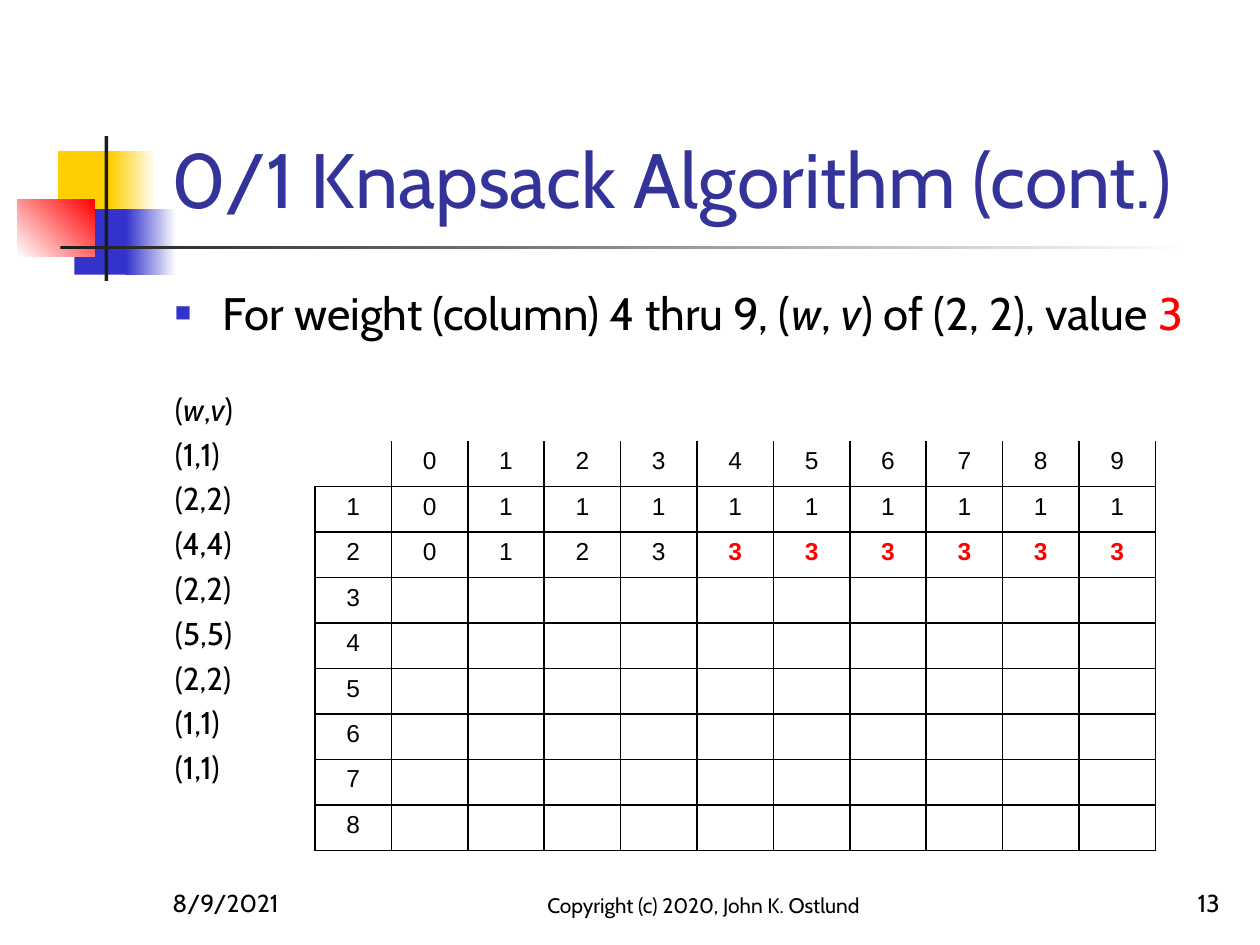
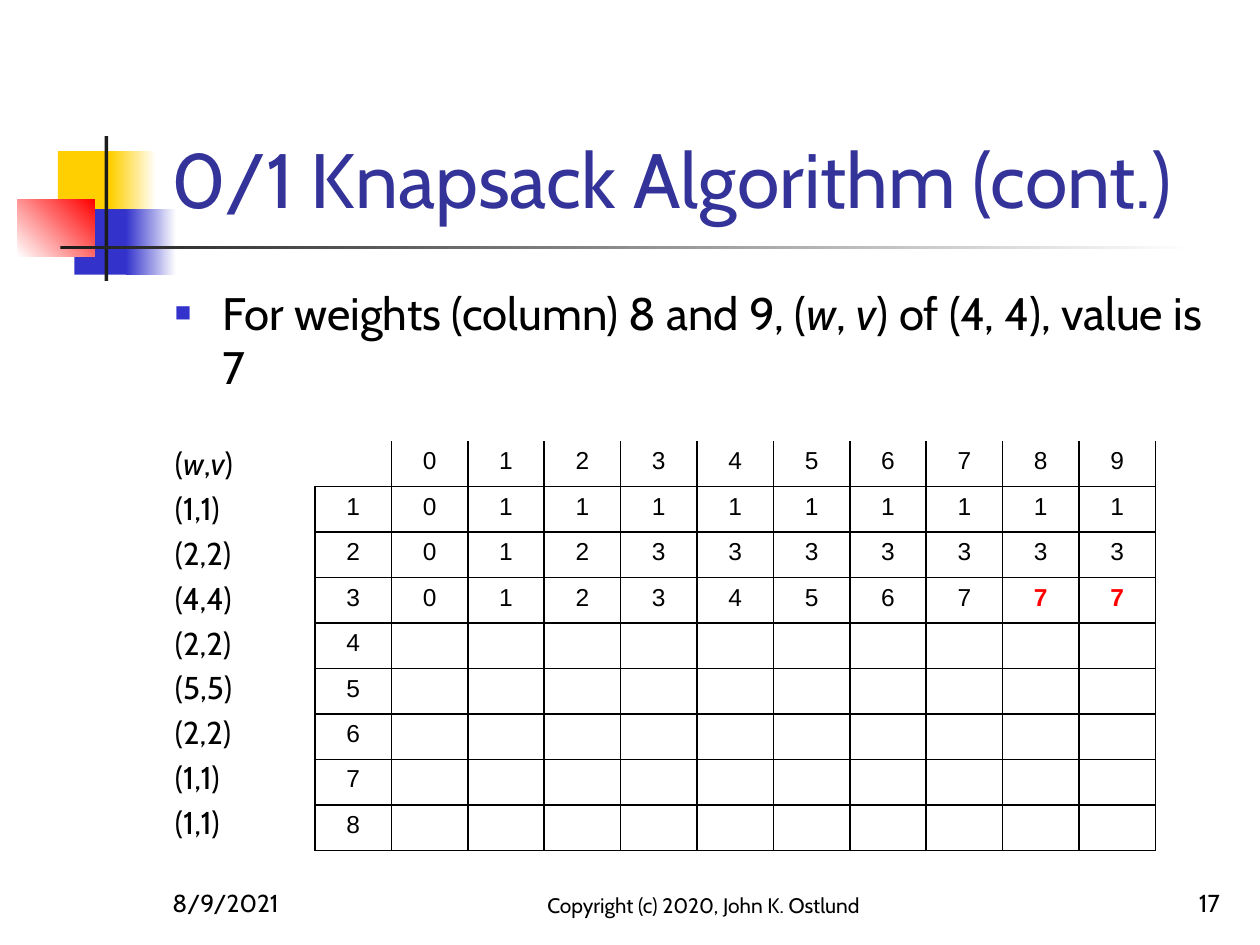
"""Build two slides that trace the 0/1 knapsack table row by row."""
from dataclasses import dataclass
from typing import NamedTuple

import lxml.etree
import pptx
import pptx.dml.color
import pptx.enum.shapes
import pptx.enum.text
import pptx.oxml.ns
import pptx.util

PX = 9144
TEXT_FONT, TABLE_FONT = "Cabin", "Arial"
BLACK, WHITE, RED = "000000", "FFFFFF", "FF0000"
YELLOW, BLUE, CHARCOAL, TITLE_BLUE = "FFCF01", "3333CC", "1C1C1C", "333399"
BULLET_INDENT = 38
COLUMN_COUNT, ROW_COUNT = 11, 9
ALIGN = pptx.enum.text.PP_ALIGN
ANCHOR = pptx.enum.text.MSO_ANCHOR


class Box(NamedTuple):
    left: int
    top: int
    width: int
    height: int


class Run(NamedTuple):
    text: str
    italic: bool = False
    color: str = BLACK


class Band(NamedTuple):
    box: Box
    start: str
    end: str
    angle: int = 0


class Label(NamedTuple):
    box: Box
    text: str
    size: int
    color: str = BLACK
    align: ALIGN = ALIGN.LEFT


@dataclass(frozen=True)
class KnapsackStep:
    number: int
    statement: tuple[Run, ...]
    rows: tuple[str, ...]
    first_highlight: int


BANDS = (
    Band(Box(46, 120, 48, 52), YELLOW, YELLOW),
    Band(Box(88, 120, 36, 52), YELLOW, WHITE),
    Band(Box(59, 166, 46, 52), BLUE, BLUE),
    Band(Box(100, 166, 40, 52), BLUE, WHITE),
    Band(Box(14, 158, 61, 46), WHITE, RED, 45),
    Band(Box(83, 108, 3, 115), CHARCOAL, CHARCOAL),
    Band(Box(48, 195, 900, 3), CHARCOAL, WHITE),
)
LABELS = (
    Label(Box(126, 23, 852, 160), "0/1 Knapsack Algorithm (cont.)", 44, TITLE_BLUE),
    Label(Box(127, 683, 208, 50), "8/9/2021", 14),
    Label(Box(400, 683, 317, 50), "Copyright (c) 2020, John K. Ostlund", 12, align=ALIGN.CENTER),
)
NUMBER_BOX = Box(770, 683, 208, 50)
BODY_BOX = Box(129, 221, 850, 450)
TABLE_BOX = Box(250, 350, 667, 325)
W, V = Run("w", True), Run("v", True)
PAIR_HEADING = (Run("("), W, Run(","), V, Run(")"))
PAIRS = ("(1,1)", "(2,2)", "(4,4)", "(2,2)", "(5,5)", "(2,2)", "(1,1)", "(1,1)")
ITEM_LINES = (PAIR_HEADING, *((Run(pair),) for pair in PAIRS))
STEPS = (
    KnapsackStep(
        13,
        (Run("For weight (column) 4 thru 9, ("), W, Run(", "), V,
         Run(") of (2, 2), value "), Run("3", color=RED)),
        ("0111111111", "0123333333"),
        4,
    ),
    KnapsackStep(
        17,
        (Run("For weights (column) 8 and 9, ("), W, Run(", "), V,
         Run(") of (4, 4), value is 7")),
        ("0111111111", "0123333333", "0123456777"),
        8,
    ),
)


def rgb(color: str) -> pptx.dml.color.RGBColor:
    """Turn a hex string into a colour."""
    return pptx.dml.color.RGBColor.from_string(color)


def emu(box: Box) -> list[int]:
    """Scale a box from px to EMU."""
    return [length * PX for length in box]


def add_element(parent, tag: str, **attributes: str):
    """Append a DrawingML element to its parent."""
    return lxml.etree.SubElement(parent, pptx.oxml.ns.qn(f"a:{tag}"), attributes)


def add_run(paragraph, run: Run, size: int, font: str = TEXT_FONT, bold: bool = False) -> None:
    """Append one formatted run."""
    text_run = paragraph.add_run()
    text_run.text = run.text
    text_run.font.name = font
    text_run.font.size = pptx.util.Pt(size)
    text_run.font.bold = bold
    text_run.font.italic = run.italic
    text_run.font.color.rgb = rgb(run.color)


def add_text_frame(slide, box: Box, anchor: ANCHOR):
    """Add a wrapping text box and return its frame."""
    frame = slide.shapes.add_textbox(*emu(box)).text_frame
    frame.word_wrap = True
    frame.vertical_anchor = anchor
    return frame


def draw_band(slide, band: Band) -> None:
    """Draw a plain or fading rectangle."""
    shape = slide.shapes.add_shape(pptx.enum.shapes.MSO_SHAPE.RECTANGLE, *emu(band.box))
    shape.shadow.inherit = False
    shape.line.fill.background()
    if band.start == band.end:
        shape.fill.solid()
        shape.fill.fore_color.rgb = rgb(band.start)
        return
    shape.fill.gradient()
    shape.fill.gradient_angle = band.angle
    for stop, color in zip(shape.fill.gradient_stops, (band.start, band.end)):
        stop.color.rgb = rgb(color)


def draw_label(slide, label: Label) -> None:
    """Write a single bottom-anchored line."""
    paragraph = add_text_frame(slide, label.box, ANCHOR.BOTTOM).paragraphs[0]
    paragraph.alignment = label.align
    add_run(paragraph, Run(label.text, color=label.color), label.size)


def add_bullet(paragraph) -> None:
    """Give a paragraph a hanging square bullet."""
    properties = paragraph._p.get_or_add_pPr()
    properties.set("marL", str(BULLET_INDENT * PX))
    properties.set("indent", str(-BULLET_INDENT * PX))
    add_element(add_element(properties, "buClr"), "srgbClr", val=BLUE)
    add_element(properties, "buSzPct", val="60000")
    add_element(properties, "buFont", typeface=TABLE_FONT)
    add_element(properties, "buChar", char="■")


def draw_body(slide, statement: tuple[Run, ...]) -> None:
    """Write the statement and the list of weight and value pairs."""
    frame = add_text_frame(slide, BODY_BOX, ANCHOR.TOP)
    add_bullet(frame.paragraphs[0])
    for run in statement:
        add_run(frame.paragraphs[0], run, 26)
    for index, line in enumerate(ITEM_LINES):
        paragraph = frame.add_paragraph()
        paragraph.space_before = pptx.util.Pt(0 if index else 29)
        paragraph.space_after = pptx.util.Pt(4)
        for run in line:
            add_run(paragraph, run, 18)


def set_borders(cell, row: int, column: int) -> None:
    """Rule a cell, leaving the outer edges of the header open."""
    properties = cell._tc.get_or_add_tcPr()
    visible = {"L": row > 0 or column > 0, "R": True, "T": row > 0, "B": True}
    for side, shown in visible.items():
        line = add_element(properties, f"ln{side}", w=str(pptx.util.Pt(1)))
        if shown:
            add_element(add_element(line, "solidFill"), "srgbClr", val=BLACK)
        else:
            add_element(line, "noFill")


def draw_table(slide, step: KnapsackStep) -> None:
    """Draw the table filled as far as this step."""
    table = slide.shapes.add_table(ROW_COUNT, COLUMN_COUNT, *emu(TABLE_BOX)).table
    table.first_row = table.horz_banding = False
    contents = [["", *"0123456789"]]
    for item in range(1, ROW_COUNT):
        values = step.rows[item - 1] if item <= len(step.rows) else ""
        contents.append([str(item), *values.ljust(COLUMN_COUNT - 1)])
    for row, texts in enumerate(contents):
        for column, text in enumerate(texts):
            cell = table.cell(row, column)
            set_borders(cell, row, column)
            cell.fill.background()
            paragraph = cell.text_frame.paragraphs[0]
            paragraph.alignment = ALIGN.CENTER
            if text.strip():
                marked = row == len(step.rows) and column > step.first_highlight
                add_run(paragraph, Run(text, color=RED if marked else BLACK), 14, TABLE_FONT, marked)
            else:
                add_element(paragraph._p, "endParaRPr", sz="1400")


def draw_slide(presentation, step: KnapsackStep) -> None:
    """Add one step of the algorithm."""
    slide = presentation.slides.add_slide(presentation.slide_layouts[6])
    for band in BANDS:
        draw_band(slide, band)
    for label in (*LABELS, Label(NUMBER_BOX, str(step.number), 14, align=ALIGN.RIGHT)):
        draw_label(slide, label)
    draw_body(slide, step.statement)
    draw_table(slide, step)


def main() -> None:
    """Build and save the presentation."""
    presentation = pptx.Presentation()
    presentation.slide_width = 1000 * PX
    presentation.slide_height = 750 * PX
    for step in STEPS:
        draw_slide(presentation, step)
    presentation.save("out.pptx")


if __name__ == "__main__":
    main()
